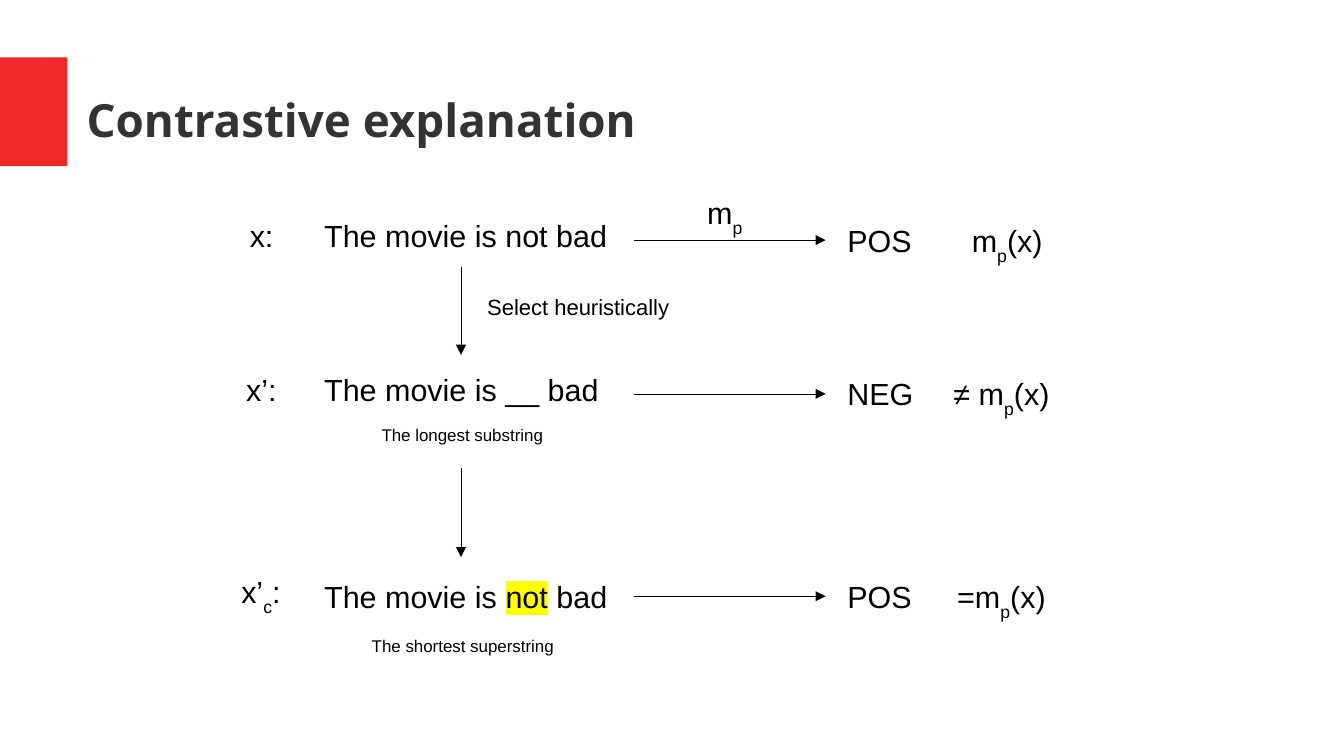
"""Build the contrastive explanation slide."""
from dataclasses import dataclass

from lxml import etree
from pptx import Presentation
from pptx.dml.color import RGBColor
from pptx.enum.shapes import MSO_CONNECTOR, MSO_SHAPE
from pptx.enum.text import MSO_ANCHOR, MSO_AUTO_SIZE, PP_ALIGN
from pptx.oxml.ns import qn
from pptx.slide import Slide
from pptx.util import Inches, Pt

STRAIGHT = MSO_CONNECTOR.STRAIGHT
RECTANGLE = MSO_SHAPE.RECTANGLE
TOP, MIDDLE = MSO_ANCHOR.TOP, MSO_ANCHOR.MIDDLE
GROW, FIXED = MSO_AUTO_SIZE.SHAPE_TO_FIT_TEXT, MSO_AUTO_SIZE.NONE
LEFT, CENTER = PP_ALIGN.LEFT, PP_ALIGN.CENTER

BLACK, RED, GREY, YELLOW = "000000", "EF2929", "333333", "FFFF00"
LABEL_FRAME = {
    "margin_left": Inches(0.1),
    "margin_right": Inches(0.1),
    "margin_top": Inches(0.05),
    "margin_bottom": Inches(0.05),
    "vertical_anchor": TOP,
    "auto_size": GROW,
    "word_wrap": True,
}
TITLE_FRAME = {
    "margin_left": 0,
    "margin_right": 0,
    "margin_top": 0,
    "margin_bottom": 0,
    "vertical_anchor": MIDDLE,
    "auto_size": FIXED,
    "word_wrap": True,
}


@dataclass(frozen=True)
class Piece:
    text: str
    subscript: bool = False
    highlight: str = ""


@dataclass(frozen=True)
class Label:
    left: float
    top: float
    width: float
    height: float
    pieces: tuple[Piece, ...]
    size: float = 18
    align: PP_ALIGN = LEFT
    font: str = "Arial"
    color: str = BLACK
    bold: bool = False


@dataclass(frozen=True)
class Arrow:
    x1: float
    y1: float
    x2: float
    y2: float


@dataclass(frozen=True)
class Step:
    sentence_top: float
    verdict_top: float
    name: Label
    sentence: tuple[Piece, ...]
    verdict: str
    relation: str
    relation_left: float


def rgb(color: str) -> RGBColor:
    return RGBColor.from_string(color)


def plain(text: str) -> tuple[Piece, ...]:
    return (Piece(text),)


def model(prefix: str = "", suffix: str = "") -> tuple[Piece, ...]:
    pieces = (Piece(prefix + "m"), Piece("p", subscript=True))
    return pieces + plain(suffix) if suffix else pieces


def draw_label(slide: Slide, label: Label, frame_format: dict = LABEL_FRAME) -> None:
    place = (label.left, label.top, label.width, label.height)
    frame = slide.shapes.add_textbox(*map(Inches, place)).text_frame
    for key, value in frame_format.items():
        setattr(frame, key, value)
    paragraph = frame.paragraphs[0]
    paragraph.alignment = label.align
    font_format = {"name": label.font, "size": Pt(label.size), "bold": label.bold}
    for piece in label.pieces:
        run = paragraph.add_run()
        run.text = piece.text
        for key, value in font_format.items():
            setattr(run.font, key, value)
        run.font.color.rgb = rgb(label.color)
        properties = run._r.get_or_add_rPr()
        if piece.subscript:
            properties.set("baseline", "-33000")
        if piece.highlight:
            marker = etree.Element(qn("a:highlight"))
            etree.SubElement(marker, qn("a:srgbClr"), val=piece.highlight)
            properties.find(qn("a:solidFill")).addnext(marker)


def draw_arrow(slide: Slide, arrow: Arrow) -> None:
    ends = (arrow.x1, arrow.y1, arrow.x2, arrow.y2)
    connector = slide.shapes.add_connector(STRAIGHT, *map(Inches, ends))
    connector.line.color.rgb = rgb(BLACK)
    connector.line.width = Pt(0)
    element = connector._element
    element.remove(element.find(qn("p:style")))
    outline = element.spPr.find(qn("a:ln"))
    outline.set("w", "0")
    etree.SubElement(outline, qn("a:tailEnd"), type="triangle")
    etree.SubElement(element.spPr, qn("a:effectLst"))


def draw_step(slide: Slide, step: Step) -> None:
    draw_label(slide, step.name)
    draw_label(slide, Label(2.56, step.sentence_top, 2.65, 0.38, step.sentence))
    draw_label(slide, Label(6.85, step.verdict_top, 0.85, 0.38, plain(step.verdict)))
    draw_label(slide, Label(step.relation_left, step.verdict_top, 1.2, 0.44,
                            model(step.relation, "(x)")))
    line_y = step.verdict_top + 0.2
    draw_arrow(slide, Arrow(5.2, line_y, 6.77, line_y))


TITLE = Label(0.71, 0.39, 9.37, 1.18, plain("Contrastive explanation"), 27,
              font="Noto Sans", color=GREY, bold=True)
STEPS = (
    Step(1.73, 1.77, Label(1.95, 1.73, 0.5, 0.44, plain("x:")),
         plain("The movie is not bad"), "POS", "", 7.87),
    Step(2.99, 3.03, Label(1.92, 2.99, 0.6, 0.38, plain("x’:")),
         plain("The movie is __ bad"), "NEG", "≠ ", 7.72),
    Step(4.69, 4.69,
         Label(1.88, 4.65, 0.65, 0.44, (Piece("x’"), Piece("c", subscript=True), Piece(":"))),
         (Piece("The movie is "), Piece("not", highlight=YELLOW), Piece(" bad")),
         "POS", "=", 7.75),
)
NOTES = (
    Label(5.7, 1.54, 0.6, 0.44, model()),
    Label(3.84, 2.36, 1.8, 0.3, plain("Select heuristically"), 13, CENTER),
    Label(3.03, 3.43, 1.65, 0.25, plain("The longest substring"), 10),
    Label(2.95, 5.16, 1.8, 0.25, plain("The shortest superstring"), 10),
)
DOWN_ARROWS = (Arrow(3.78, 2.19, 3.78, 2.91), Arrow(3.78, 3.84, 3.78, 4.57))


def main() -> None:
    deck = Presentation()
    deck.slide_width, deck.slide_height = Inches(11.02), Inches(6.2)
    slide = deck.slides.add_slide(deck.slide_layouts[6])

    accent = slide.shapes.add_shape(RECTANGLE, 0, Inches(0.47), Inches(0.55), Inches(0.89))
    accent.shadow.inherit = False
    accent.fill.solid()
    accent.fill.fore_color.rgb = rgb(RED)
    accent.line.fill.background()

    draw_label(slide, TITLE, TITLE_FRAME)
    for step in STEPS:
        draw_step(slide, step)
    for note in NOTES:
        draw_label(slide, note)
    for arrow in DOWN_ARROWS:
        draw_arrow(slide, arrow)
    deck.save("out.pptx")


if __name__ == "__main__":
    main()
